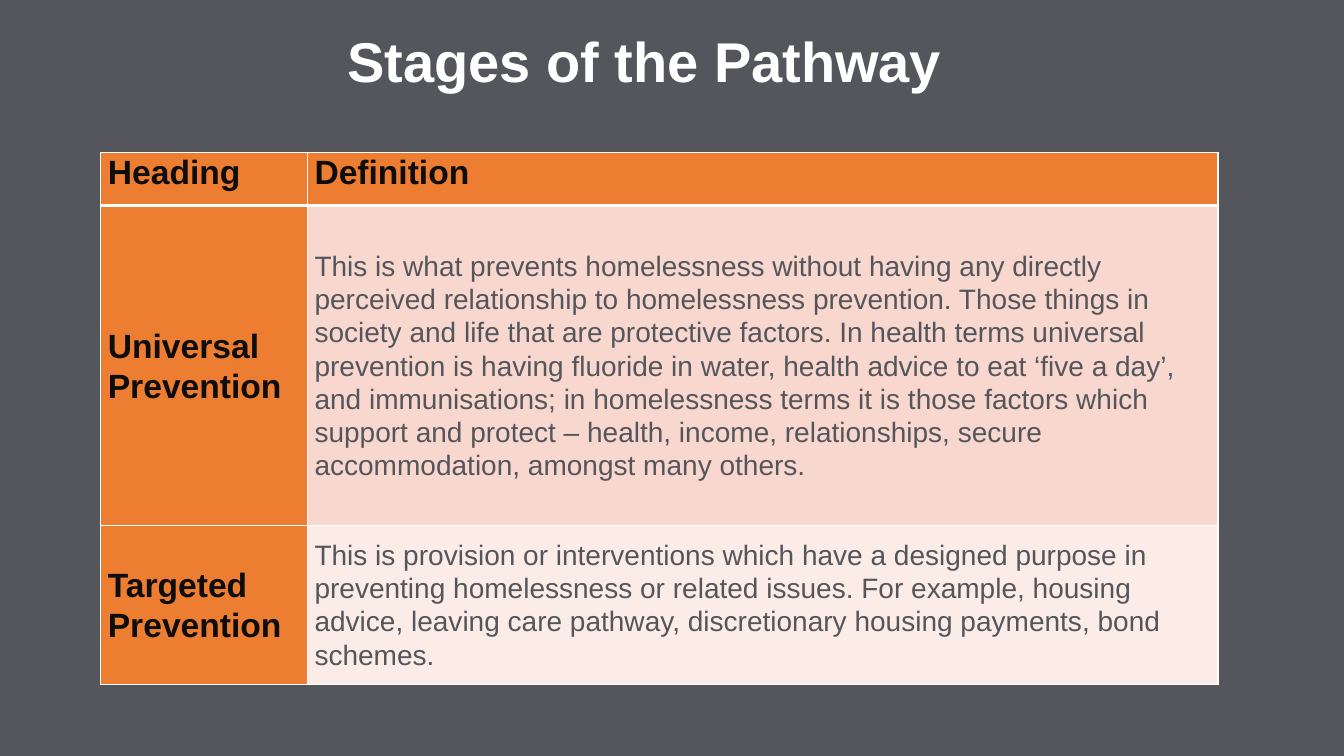
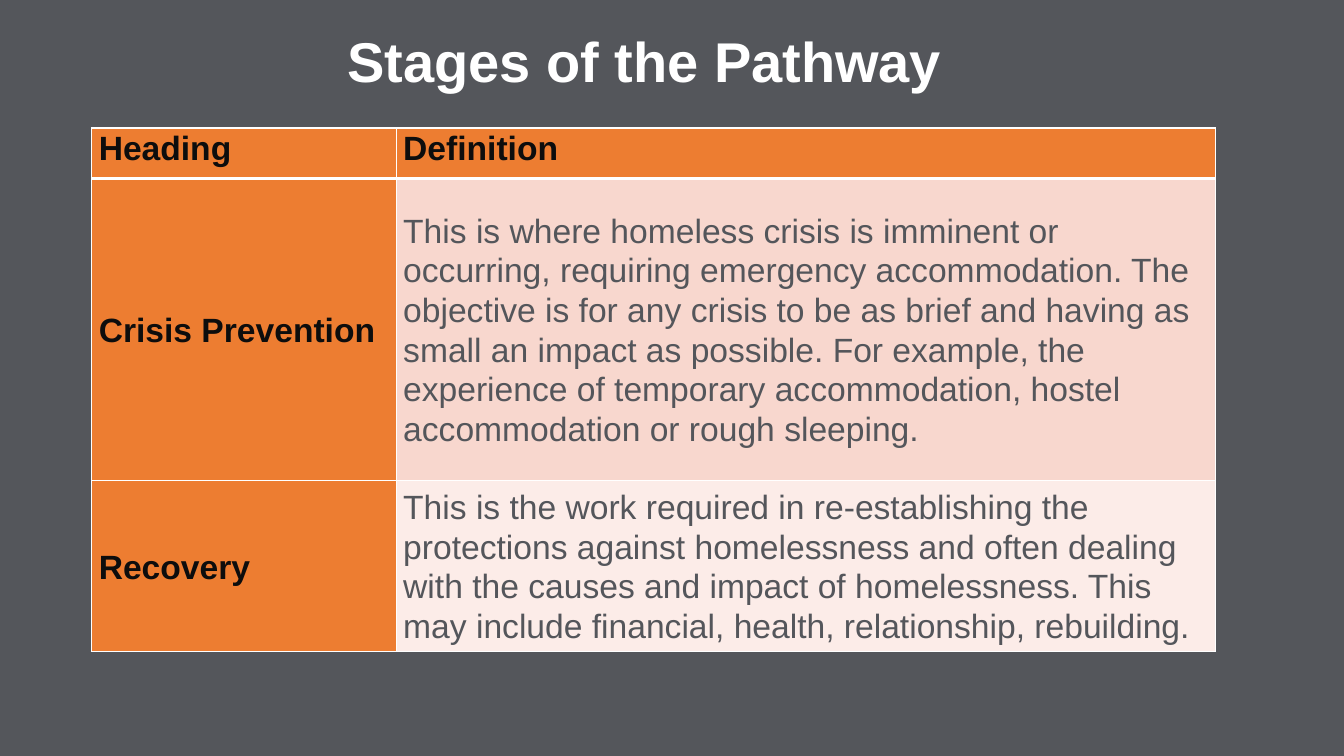
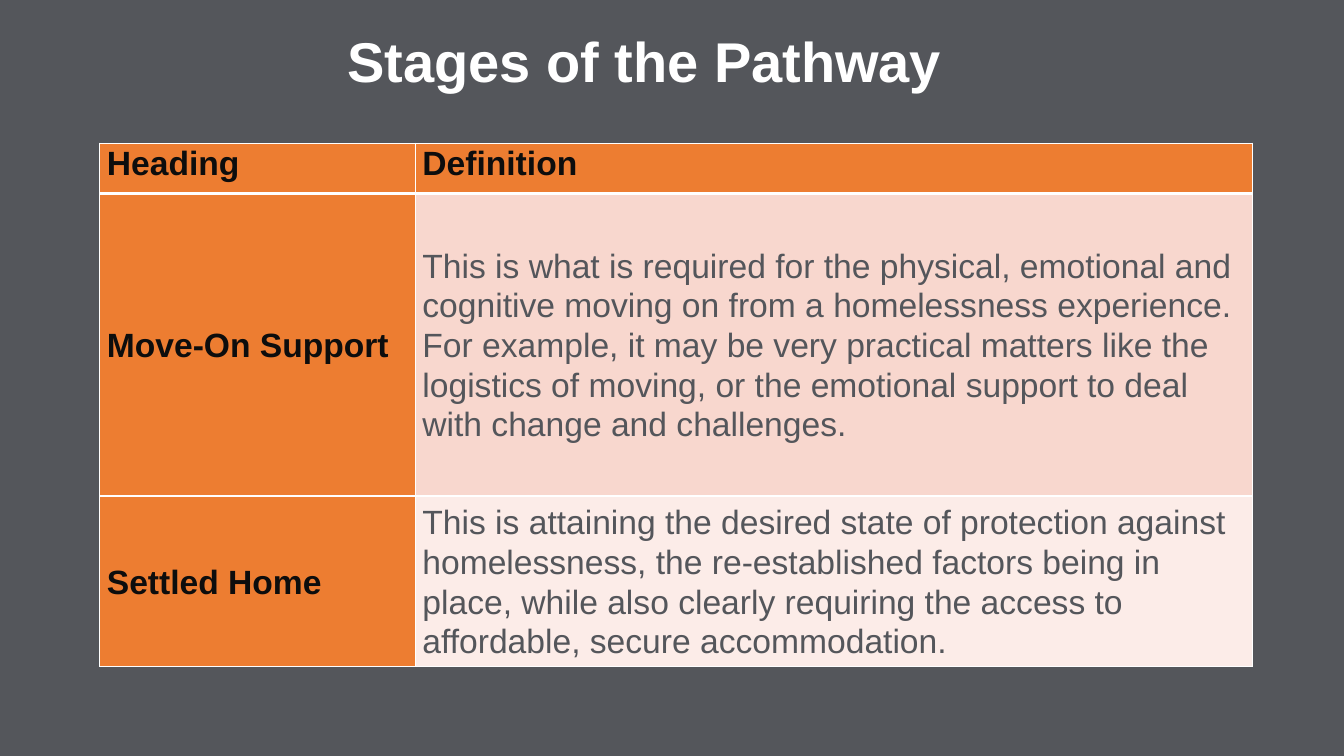
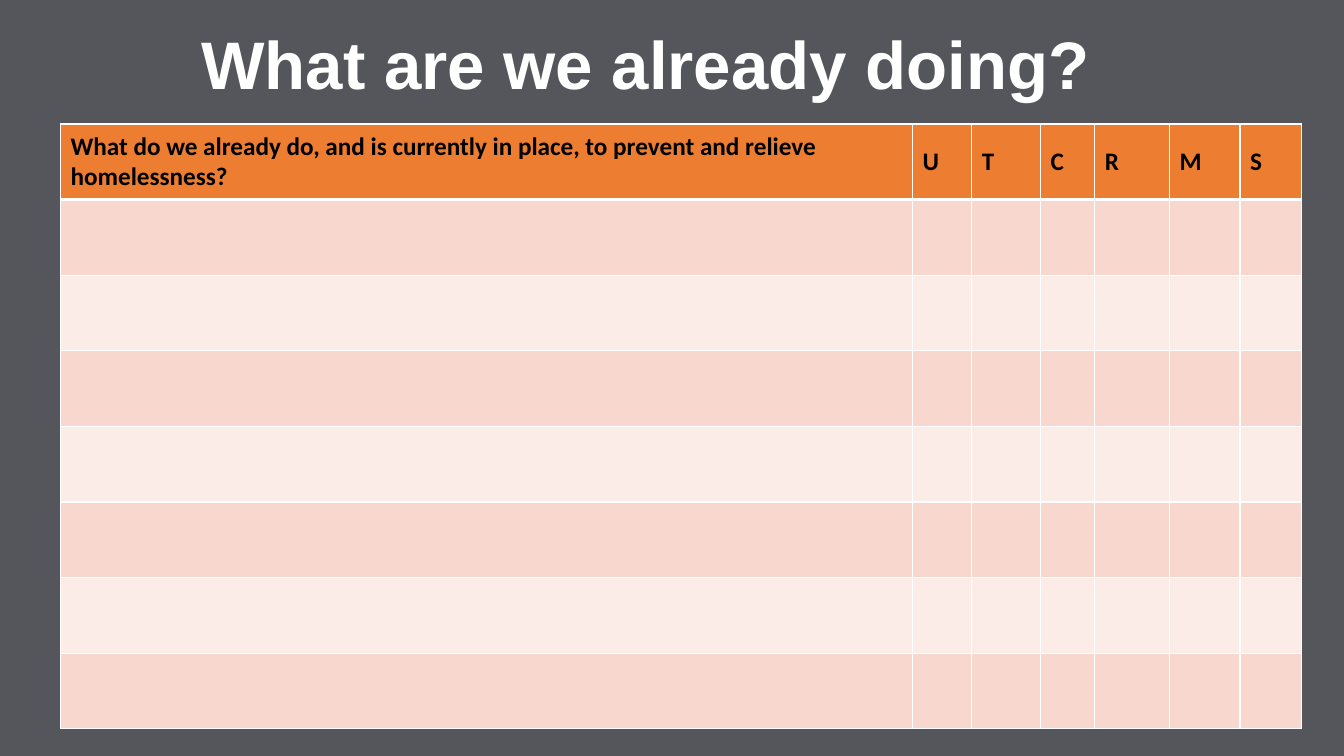
from lxml.etree import SubElement
from pptx import Presentation
from pptx.dml.color import RGBColor
from pptx.enum.text import MSO_ANCHOR as ANCHOR, PP_ALIGN as ALIGN
from pptx.oxml.ns import qn
from pptx.util import Inches, Pt

# Shared colours
SLATE, WHITE, ORANGE = "54565B", "FFFFFF", "ED7D31"
BANDS = ("F8D7CE", "FCECE8")
INK, BLACK = "0D0D0D", "000000"


def rgb(code):
    return RGBColor.from_string(code)


def set_text(tf, text, size, color, font="Arial", bold=True, spacing=None, align=None):
    p = tf.paragraphs[0]
    p.text = text
    p.font.size, p.font.name, p.font.bold = Pt(size), font, bold
    p.font.color.rgb = rgb(color)
    p.line_spacing, p.alignment = spacing, align


def add_slide(prs, title, left, top, size, align):
    """Add a slide with its bold white title."""
    s = prs.slides.add_slide(prs.slide_layouts[6])
    tf = s.shapes.add_textbox(Inches(left), Inches(top), Inches(9.7), Inches(0.92)).text_frame
    tf.word_wrap, tf.vertical_anchor = True, ANCHOR.BOTTOM
    set_text(tf, title, size, WHITE, spacing=0.9, align=align)
    return s


def set_borders(cell, row):
    """White rules, with a thick one between the header and the body."""
    tcPr = cell._tc.get_or_add_tcPr()
    widths = {"L": 1, "R": 1, "T": 3 if row == 1 else 1, "B": 3 if row == 0 else 1}
    for side, width in widths.items():
        ln = SubElement(tcPr, qn(f"a:ln{side}"), w=str(Pt(width)))
        SubElement(SubElement(ln, qn("a:solidFill")), qn("a:srgbClr"), val=WHITE)


def add_grid(s, left, top, cols, rows):
    """Add a table with an orange header and banded rows."""
    table = s.shapes.add_table(len(rows), len(cols), Inches(left), Inches(top),
                               Inches(sum(cols)), Inches(sum(rows))).table
    for column, width in zip(table.columns, cols):
        column.width = Inches(width)
    for i, height in enumerate(rows):
        table.rows[i].height = Inches(height)
        for cell in table.rows[i].cells:
            set_borders(cell, i)
            cell.fill.solid()
            cell.fill.fore_color.rgb = rgb(BANDS[(i - 1) % 2] if i else ORANGE)
            cell.vertical_anchor = ANCHOR.MIDDLE
    return table


def add_stages(prs, left, top, cols, rows, size, stages):
    """Slide that defines stages of the pathway."""
    s = add_slide(prs, "Stages of the Pathway", 1.54, 0.07, 40, ALIGN.CENTER)
    table = add_grid(s, left, top, cols, rows)
    for i, texts in enumerate([("Heading", "Definition"), *stages]):
        for j, text in enumerate(texts):
            cell = table.cell(i, j)
            cell.margin_left = cell.margin_right = Inches(0.07)
            cell.margin_top = cell.margin_bottom = 0
            if i == 0:
                cell.vertical_anchor = ANCHOR.TOP
            if i and j:
                set_text(cell.text_frame, text, size, SLATE, bold=False, spacing=1.06)
            else:
                cell.fill.fore_color.rgb = rgb(ORANGE)
                set_text(cell.text_frame, text, 24, INK, spacing=1.06)


def add_worksheet(prs):
    """Slide with an empty grid, one narrow column per stage initial."""
    s = add_slide(prs, "What are we already doing?", 1.9, 0.16, 48, ALIGN.LEFT)
    table = add_grid(s, 0.6, 1.23, [8.45, 0.59, 0.68, 0.54, 0.74, 0.7, 0.61], [0.75] * 8)
    question = ("What do we already do, and is currently in place, "
                "to prevent and relieve homelessness?")
    for cell, text in zip(table.rows[0].cells, [question, *"UTCRMS"]):
        set_text(cell.text_frame, text, 18, BLACK, font="Calibri")


# Stage definitions: left, top, columns, rows, body size, texts
STAGE_SLIDES = [
    (1, 1.51, [2.05, 9.03], [0.53, 3.17, 1.58], 20, [
        ("Universal Prevention",
         "This is what prevents homelessness without having any directly perceived relationship "
         "to homelessness prevention. Those things in society and life that are protective "
         "factors. In health terms universal prevention is having fluoride in water, health "
         "advice to eat ‘five a day’, and immunisations; in homelessness terms it is those "
         "factors which support and protect – health, income, relationships, secure "
         "accommodation, amongst many others."),
        ("Targeted Prevention",
         "This is provision or interventions which have a designed purpose in preventing "
         "homelessness or related issues. For example, housing advice, leaving care pathway, "
         "discretionary housing payments, bond schemes."),
    ]),
    (0.91, 1.27, [3.02, 8.13], [0.5, 3, 1.5], 24, [
        ("Crisis Prevention",
         "This is where homeless crisis is imminent or occurring, requiring emergency "
         "accommodation. The objective is for any crisis to be as brief and having as small an "
         "impact as possible. For example, the experience of temporary accommodation, hostel "
         "accommodation or rough sleeping."),
        ("Recovery",
         "This is the work required in re-establishing the protections against homelessness and "
         "often dealing with the causes and impact of homelessness. This may include financial, "
         "health, relationship, rebuilding."),
    ]),
    (0.99, 1.42, [3.13, 8.3], [0.5, 3, 1.5], 24, [
        ("Move-On Support",
         "This is what is required for the physical, emotional and cognitive moving on from a "
         "homelessness experience. For example, it may be very practical matters like the "
         "logistics of moving, or the emotional support to deal with change and challenges."),
        ("Settled Home",
         "This is attaining the desired state of protection against homelessness, the "
         "re-established factors being in place, while also clearly requiring the access to "
         "affordable, secure accommodation."),
    ]),
]


def main():
    prs = Presentation()
    prs.slide_width, prs.slide_height = Inches(13.33), Inches(7.5)
    background = prs.slide_master.background.fill
    background.solid()
    background.fore_color.rgb = rgb(SLATE)
    for stage_slide in STAGE_SLIDES:
        add_stages(prs, *stage_slide)
    add_worksheet(prs)
    prs.save("out.pptx")


if __name__ == "__main__":
    main()
